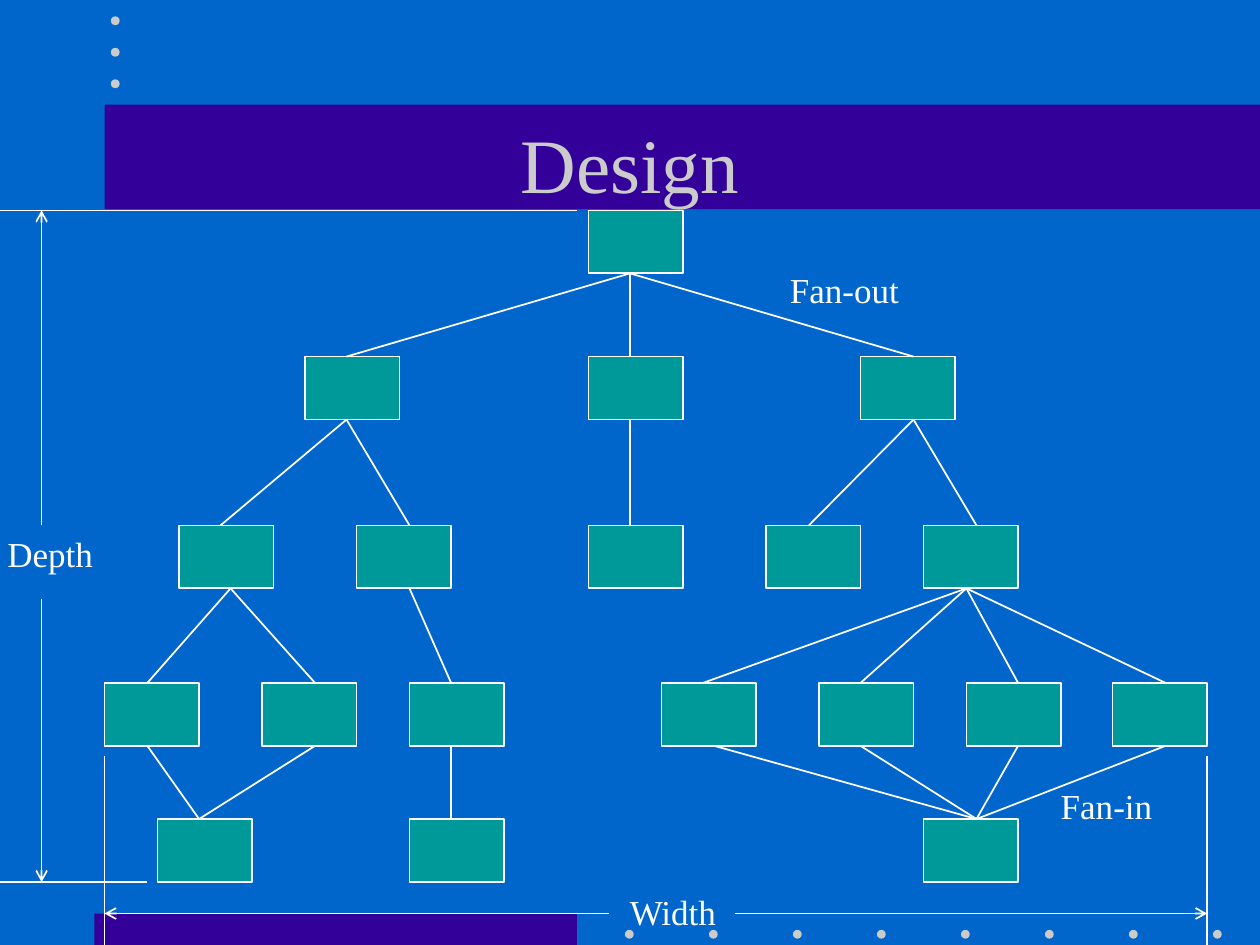
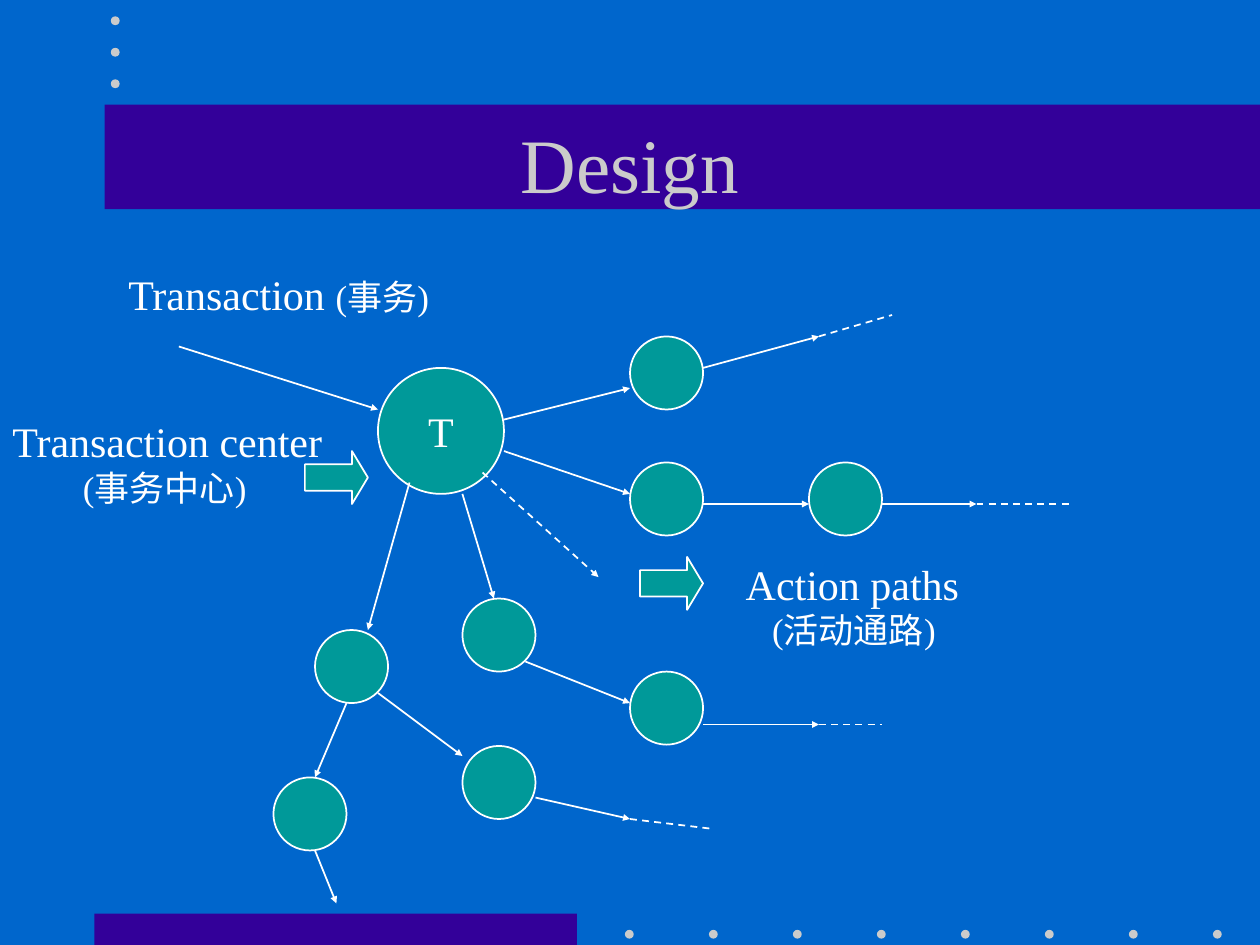
"""Build two software design slides: a structure chart and a transaction flow."""
from lxml.etree import SubElement
from pptx import Presentation
from pptx.dml.color import RGBColor
from pptx.enum.dml import MSO_LINE
from pptx.enum.shapes import MSO_CONNECTOR, MSO_SHAPE
from pptx.enum.text import MSO_ANCHOR, MSO_AUTO_SIZE, PP_ALIGN
from pptx.oxml.ns import qn
from pptx.util import Inches, Pt

BLUE = RGBColor(0x00, 0x66, 0xCC)
PURPLE = RGBColor(0x33, 0x00, 0x99)
TEAL = RGBColor(0x00, 0x99, 0x99)
GREY = RGBColor(0xCB, 0xCB, 0xCB)
WHITE = RGBColor(0xFF, 0xFF, 0xFF)
FONT = "Times New Roman"
OPEN_ARROW = {"type": "arrow"}
SMALL_TRIANGLE = {"type": "triangle", "w": "sm", "len": "sm"}


class Deck:
    """Hold the shared style and the current slide."""

    def __init__(self):
        """Start a presentation with the shared background and decoration."""
        self.presentation = Presentation()
        self.presentation.slide_width = Inches(10)
        self.presentation.slide_height = Inches(7.5)
        self.layout = self.presentation.slide_layouts[5]
        fill = self.presentation.slide_master.background.fill
        fill.solid()
        fill.fore_color.rgb = BLUE
        self.slide = None

    def add_slide(self, title):
        """Add a slide with a centred title."""
        self.slide = self.presentation.slides.add_slide(self.layout)
        if len(self.presentation.slides) == 1:
            self.decorate_layout()
        shape = self.slide.shapes.title
        shape.left, shape.top = Inches(0.75), Inches(0.67)
        shape.width, shape.height = Inches(8.5), Inches(1.25)
        frame = shape.text_frame
        frame.auto_size = MSO_AUTO_SIZE.NONE
        frame.vertical_anchor = MSO_ANCHOR.MIDDLE
        frame.paragraphs[0].alignment = PP_ALIGN.CENTER
        self.add_run(frame.paragraphs[0], title, 44, GREY)

    def decorate_layout(self):
        """Draw the bands and dots and move them to the layout."""
        rectangle, ellipse = MSO_SHAPE.RECTANGLE, MSO_SHAPE.OVAL
        decoration = [
            self.add_shape(rectangle, 0.75, 7.25, 3.83, 0.25, PURPLE, None),
            self.add_shape(rectangle, 0.83, 0.83, 9.17, 0.83, PURPLE, None),
        ]
        dots = [(4.96 + column * 2 / 3, 7.38) for column in range(8)]
        dots += [(0.88, 0.13 + row * 0.25) for row in range(3)]
        for left, top in dots:
            decoration.append(self.add_shape(ellipse, left, top, 0.07, 0.07, GREY, None))
        for number, shape in enumerate(decoration, start=20):
            shape._element.nvSpPr.cNvPr.id = number
            self.layout.shapes._spTree.append(shape._element)

    def add_run(self, paragraph, text, size, color=WHITE):
        """Add one formatted run."""
        run = paragraph.add_run()
        run.text = text
        run.font.name = FONT
        run.font.size = Pt(size)
        run.font.color.rgb = color

    def add_shape(self, kind, left, top, width, height, color=TEAL, outline=WHITE):
        """Add a filled preset shape."""
        shape = self.slide.shapes.add_shape(
            kind, Inches(left), Inches(top), Inches(width), Inches(height))
        shape.shadow.inherit = False
        shape.fill.solid()
        shape.fill.fore_color.rgb = color
        if outline is None:
            shape.line.fill.background()
        else:
            shape.line.color.rgb = outline
            shape.line.width = Pt(1)
        return shape

    def add_module(self, left, top):
        """Add a box of the structure chart."""
        self.add_shape(MSO_SHAPE.RECTANGLE, left, top, 0.75, 0.5)

    def add_node(self, left, top, size=0.58, text=None):
        """Add a circle of the flow, with text if given."""
        shape = self.add_shape(MSO_SHAPE.OVAL, left, top, size, size)
        if text:
            frame = shape.text_frame
            frame.word_wrap = False
            frame.vertical_anchor = MSO_ANCHOR.MIDDLE
            frame.paragraphs[0].alignment = PP_ALIGN.CENTER
            self.add_run(frame.paragraphs[0], text, 24)

    def add_pointer(self, left, top):
        """Add a block arrow pointing right."""
        shape = self.add_shape(MSO_SHAPE.RIGHT_ARROW, left, top, 0.5, 0.42)
        shape.adjustments[0], shape.adjustments[1] = 0.5, 0.3

    def add_line(self, start, end, arrow=None, dashed=False):
        """Add a white line, with an arrowhead at its end if given."""
        points = [Inches(value) for value in (*start, *end)]
        connector = self.slide.shapes.add_connector(MSO_CONNECTOR.STRAIGHT, *points)
        connector.line.color.rgb = WHITE
        connector.line.width = Pt(1)
        if dashed:
            connector.line.dash_style = MSO_LINE.DASH
        if arrow:
            SubElement(connector.line._get_or_add_ln(), qn("a:tailEnd"), arrow)
        SubElement(connector._element.spPr, qn("a:effectLst"))

    def add_fan(self, hub, ends, top):
        """Join a hub with several points at one height."""
        for end in ends:
            self.add_line(hub, (end, top))

    def add_label(self, left, top, width, height, paragraphs, wrap=False):
        """Add a text box from (indent, runs) pairs."""
        box = self.slide.shapes.add_textbox(
            Inches(left), Inches(top), Inches(width), Inches(height))
        frame = box.text_frame
        frame.word_wrap = wrap
        frame.auto_size = MSO_AUTO_SIZE.SHAPE_TO_FIT_TEXT
        for index, (indent, runs) in enumerate(paragraphs):
            paragraph = frame.add_paragraph() if index else frame.paragraphs[0]
            if indent:
                paragraph._p.get_or_add_pPr().set("marL", str(Inches(indent)))
            for text, size in runs:
                self.add_run(paragraph, text, size)


def build_structure_chart(deck):
    """Build the slide with depth, width, fan-out and fan-in."""
    deck.add_slide("Design")
    modules = {
        1.67: [4.67],
        2.83: [2.42, 4.67, 6.83],
        4.17: [1.42, 2.83, 4.67, 6.08, 7.33],
        5.42: [0.83, 2.08, 3.25, 5.25, 6.5, 7.67, 8.83],
        6.5: [1.25, 3.25, 7.33],
    }
    for top, lefts in modules.items():
        for left in lefts:
            deck.add_module(left, top)

    fans = [
        ((5, 2.17), [2.75, 5, 7.25], 2.83),
        ((2.75, 3.33), [1.75, 3.25], 4.17),
        ((5, 3.33), [5], 4.17),
        ((7.25, 3.33), [6.42, 7.75], 4.17),
        ((1.83, 4.67), [1.17, 2.5], 5.42),
        ((3.25, 4.67), [3.58], 5.42),
        ((7.67, 4.67), [5.58, 6.83, 8.08, 9.25], 5.42),
        ((1.58, 6.5), [1.17, 2.5], 5.92),
        ((3.58, 6.5), [3.58], 5.92),
        ((7.75, 6.5), [5.67, 6.83, 8.08, 9.25], 5.92),
    ]
    for hub, ends, top in fans:
        deck.add_fan(hub, ends, top)

    for edge, inner in ((0.83, 4.83), (9.58, 5.83)):
        deck.add_line((edge, 6), (edge, 7.5))
        deck.add_line((inner, 7.25), (edge, 7.25), OPEN_ARROW)
    for edge, inner, right in ((1.67, 4.17, 4.58), (7, 4.75, 1.17)):
        deck.add_line((right, edge), (0, edge))
        deck.add_line((0.33, inner), (0.33, edge), OPEN_ARROW)

    labels = [
        ("Width", 4.9, 7.02, 0.9),
        ("Depth", -0.04, 4.18, 0.9),
        ("Fan-out", 6.17, 2.08, 1.12),
        ("Fan-in", 8.32, 6.18, 0.98),
    ]
    for text, left, top, width in labels:
        deck.add_label(left, top, width, 0.44, [(0, [(text, 20)])])


def build_transaction_flow(deck):
    """Build the slide with the transaction center and its action paths."""
    deck.add_slide("Design")
    deck.add_node(3, 2.92, 1, "T")
    nodes = [(2.5, 5), (5, 2.67), (5, 3.67), (6.42, 3.67),
             (3.67, 4.75), (5, 5.33), (2.17, 6.17), (3.67, 5.92)]
    for left, top in nodes:
        deck.add_node(left, top)

    flows = [
        ((1.42, 2.75), (3, 3.25)),
        ((4, 3.33), (5, 3.08)),
        ((5.58, 2.92), (6.5, 2.67)),
        ((4, 3.58), (5, 3.92)),
        ((5.58, 4), (6.42, 4)),
        ((7, 4), (7.75, 4)),
        ((3.67, 3.92), (3.92, 4.75)),
        ((4.17, 5.25), (5, 5.58)),
        ((5.58, 5.75), (6.5, 5.75)),
        ((3.25, 3.83), (2.92, 5)),
        ((2.75, 5.58), (2.5, 6.17)),
        ((3, 5.5), (3.67, 6)),
        ((4.25, 6.33), (5, 6.5)),
        ((2.5, 6.75), (2.67, 7.17)),
    ]
    for start, end in flows:
        deck.add_line(start, end, SMALL_TRIANGLE)
    deck.add_line((3.83, 3.75), (4.75, 4.58), SMALL_TRIANGLE, dashed=True)
    continuations = [
        ((6.5, 2.67), (7.08, 2.5)),
        ((7.75, 4), (8.5, 4)),
        ((6.5, 5.75), (7, 5.75)),
        ((5, 6.5), (5.67, 6.58)),
    ]
    for start, end in continuations:
        deck.add_line(start, end, dashed=True)

    deck.add_pointer(2.42, 3.58)
    deck.add_pointer(5.08, 4.42)
    deck.add_label(0.92, 2.08, 2.6, 0.84,
                   [(0, [("Transaction ", 24), ("(事务)", 20)])], wrap=True)
    deck.add_label(0, 3.25, 2.7, 0.84,
                   [(0, [("Transaction center", 24)]), (0.56, [("(事务中心)", 20)])])
    deck.add_label(5.82, 4.38, 1.96, 0.84,
                   [(0, [("Action paths", 24)]), (0.21, [("(活动通路)", 20)])])


def main():
    """Build both slides and save them."""
    deck = Deck()
    build_structure_chart(deck)
    build_transaction_flow(deck)
    deck.presentation.save("out.pptx")


if __name__ == "__main__":
    main()
